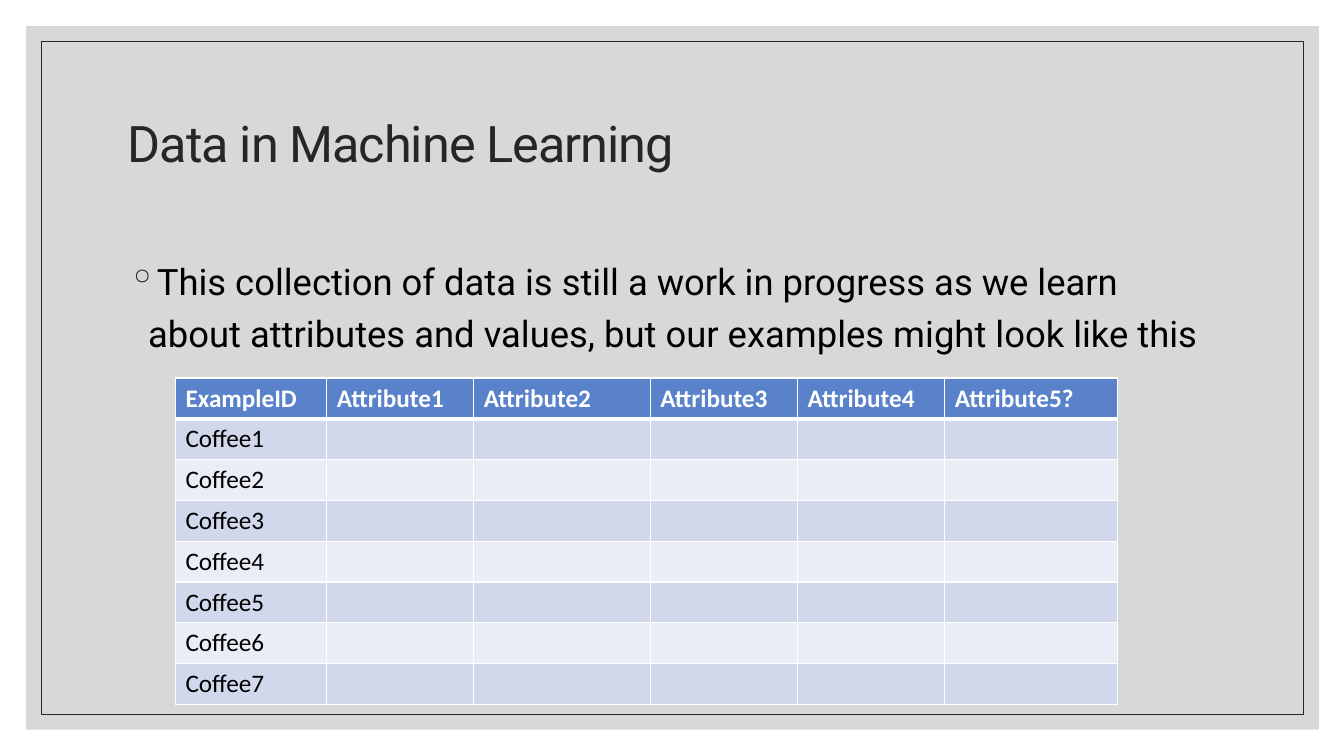
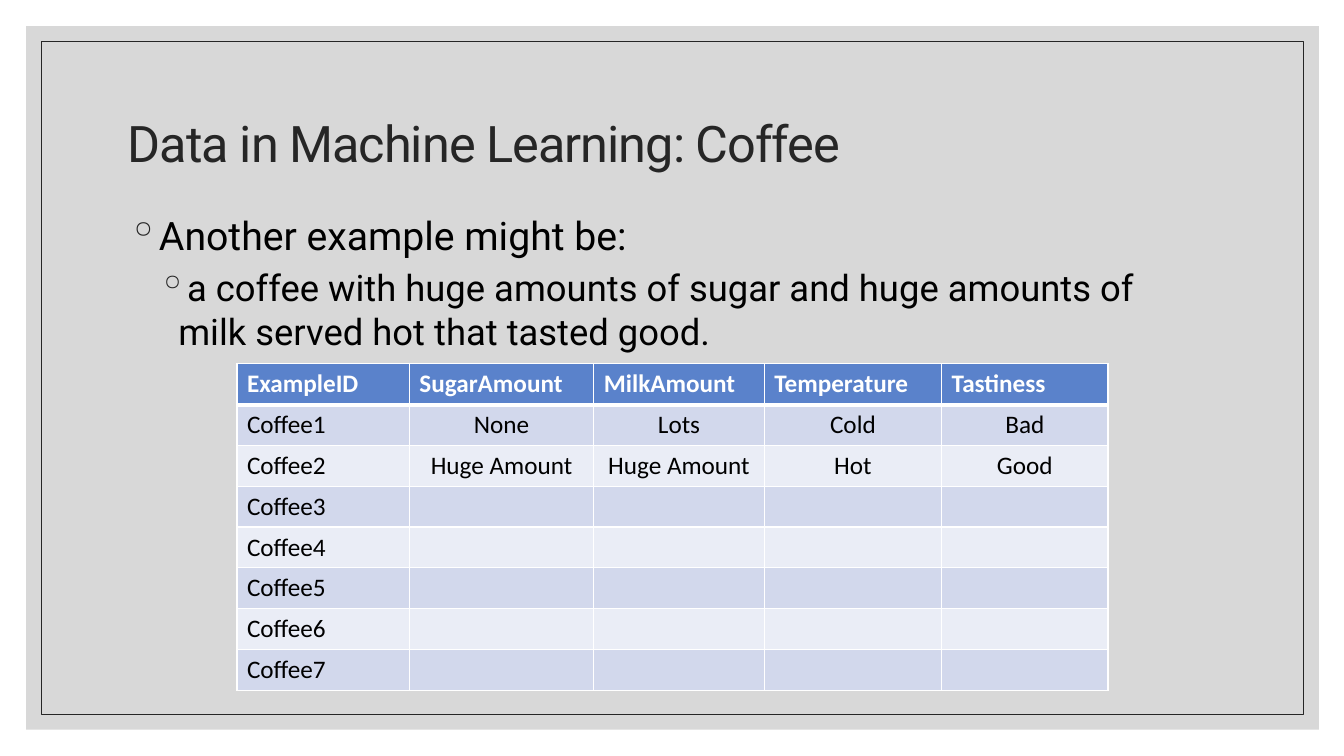
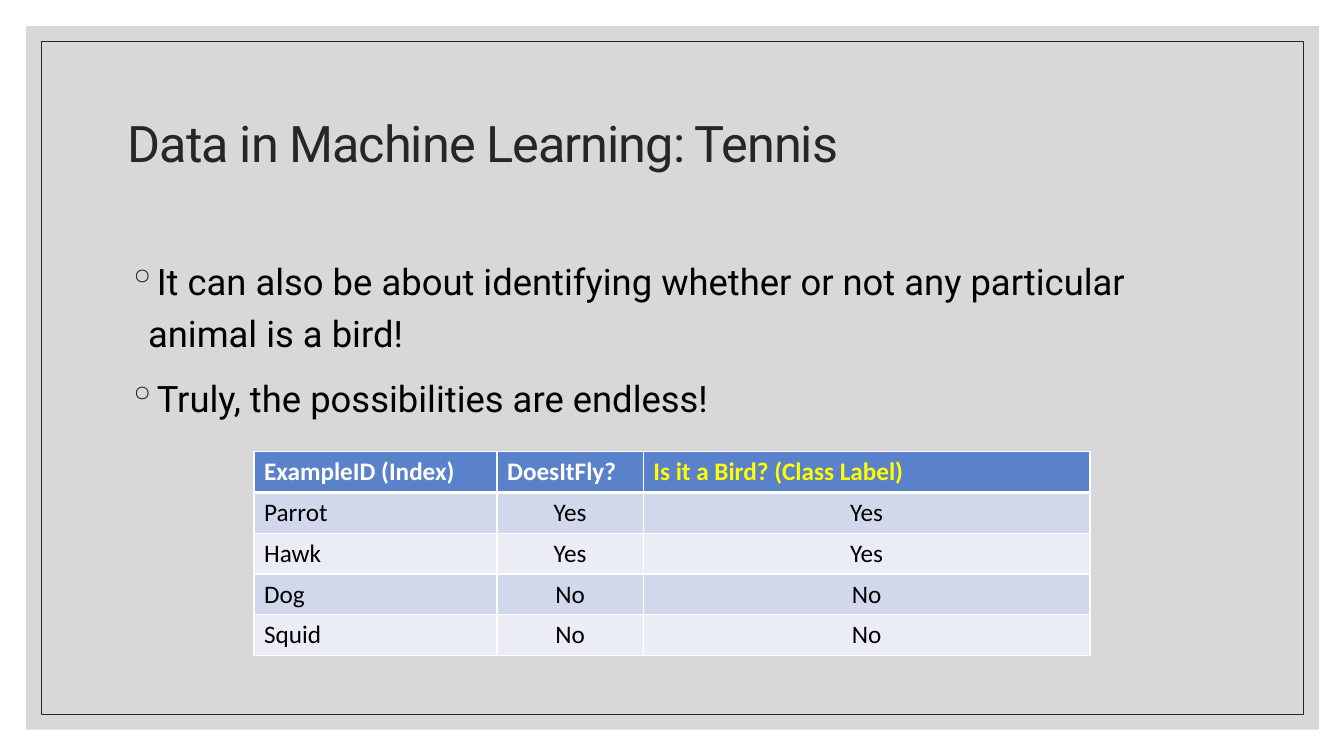
from pptx import Presentation
from pptx.dml.color import RGBColor
from pptx.enum.shapes import MSO_SHAPE
from pptx.enum.text import MSO_ANCHOR, PP_ALIGN
from pptx.oxml import parse_xml
from pptx.oxml.ns import nsdecls, qn
from pptx.util import Inches, Pt

INK = "262626"
BLACK = "000000"
WHITE = "FFFFFF"
YELLOW = "FFFF00"
PANEL = "BFBFBF"
HEADER = "5A82CB"
BANDS = ("D2D8EC", "EAEDF6")
TEXT_FONT = "Roboto"
TABLE_FONT = "Calibri"
ROW_HEIGHT = 0.405
LEVELS = (
    {"indent": 0.2, "line_spacing": 1.2, "space_before": 9},
    {"indent": 0.5, "line_spacing": 1.0, "space_before": 5},
)
COFFEES = [f"Coffee{number}" for number in range(1, 8)]

SLIDES = [
    {
        "title": "Data in Machine Learning",
        "body_top": 2.43,
        "bullets": [
            (0, 26, "This collection of data is still a work in progress as we learn "
                    "about attributes and values, but our examples might look like this"),
        ],
        "table_at": (1.74, 3.75),
        "columns": [("ExampleID", 1.5), ("Attribute1", 1.46), ("Attribute2", 1.75),
                    ("Attribute3", 1.46), ("Attribute4", 1.46), ("Attribute5?", 1.71)],
        "rows": [(coffee,) for coffee in COFFEES],
    },
    {
        "title": "Data in Machine Learning: Coffee",
        "body_top": 1.95,
        "bullets": [
            (0, 28, "Another example might be:"),
            (1, 26, "a coffee with huge amounts of sugar and huge amounts of milk "
                    "served hot that tasted good."),
        ],
        "table_at": (2.35, 3.61),
        "columns": [("ExampleID", 1.71), ("SugarAmount", 1.83), ("MilkAmount", 1.69),
                    ("Temperature", 1.76), ("Tastiness", 1.65)],
        "rows": [
            ("Coffee1", "None", "Lots", "Cold", "Bad"),
            ("Coffee2", "Huge Amount", "Huge Amount", "Hot", "Good"),
            *[(coffee,) for coffee in COFFEES[2:]],
        ],
    },
    {
        "title": "Data in Machine Learning: Tennis",
        "body_top": 2.43,
        "bullets": [
            (0, 26, "It can also be about identifying whether or not any particular "
                    "animal is a bird!"),
            (0, 26, "Truly, the possibilities are endless!"),
        ],
        "table_at": (2.52, 4.48),
        "columns": [("ExampleID (Index)", 2.41), ("DoesItFly?", 1.45),
                    ("Is it a Bird? (Class Label)", 4.43)],
        "rows": [("Parrot", "Yes", "Yes"), ("Hawk", "Yes", "Yes"),
                 ("Dog", "No", "No"), ("Squid", "No", "No")],
        "class_label": 2,
    },
]


def rgb(color):
    return RGBColor.from_string(color)


def set_font(paragraph, name, size, color, bold=False):
    font = paragraph.font
    font.name = name
    font.size = Pt(size)
    font.color.rgb = rgb(color)
    font.bold = bold


def add_rectangle(slide, left, top, width, height):
    rectangle = slide.shapes.add_shape(
        MSO_SHAPE.RECTANGLE, Inches(left), Inches(top), Inches(width), Inches(height))
    rectangle.shadow.inherit = False
    return rectangle


def add_frame(slide):
    panel = add_rectangle(slide, 0.26, 0.26, 12.82, 6.98)
    panel.fill.solid()
    panel.fill.fore_color.rgb = rgb(PANEL)
    panel.line.fill.background()
    tint = panel.element.spPr.find(qn("a:solidFill")).find(qn("a:srgbClr"))
    tint.append(parse_xml(f'<a:alpha {nsdecls("a")} val="60000"/>'))
    border = add_rectangle(slide, 0.41, 0.41, 12.52, 6.68)
    border.fill.background()
    border.line.color.rgb = rgb(INK)
    border.line.width = Pt(0.5)


def add_text_frame(slide, left, top, width, height):
    box = slide.shapes.add_textbox(Inches(left), Inches(top), Inches(width), Inches(height))
    box.text_frame.word_wrap = True
    return box.text_frame


def add_title(slide, text):
    frame = add_text_frame(slide, 1.17, 0.7, 11, 1.5)
    frame.vertical_anchor = MSO_ANCHOR.MIDDLE
    paragraph = frame.paragraphs[0]
    paragraph.line_spacing = 0.9
    run = paragraph.add_run()
    run.text = text
    run._r.get_or_add_rPr().set("spc", "-70")
    set_font(paragraph, TEXT_FONT, 36, INK)


def add_bullets(slide, top, bullets):
    frame = add_text_frame(slide, 1.17, top, 10.88, 4.21)
    for index, (level, size, text) in enumerate(bullets):
        paragraph = frame.add_paragraph() if index else frame.paragraphs[0]
        style = LEVELS[level]
        paragraph.text = text
        paragraph.level = level
        paragraph.line_spacing = style["line_spacing"]
        paragraph.space_before = Pt(style["space_before"] if index else 0)
        properties = paragraph._p.get_or_add_pPr()
        properties.set("marL", str(Inches(style["indent"])))
        properties.set("indent", str(Inches(-0.2)))
        properties.append(parse_xml(
            f'<a:buClr {nsdecls("a")}><a:srgbClr val="{INK}"/></a:buClr>'))
        properties.append(parse_xml(f'<a:buChar {nsdecls("a")} char="◦"/>'))
        set_font(paragraph, TEXT_FONT, size, BLACK)


def style_cell(cell, fill, top, bottom):
    properties = cell._tc.get_or_add_tcPr()
    for side, width in (("L", 1), ("R", 1), ("T", top), ("B", bottom)):
        properties.append(parse_xml(
            f'<a:ln{side} {nsdecls("a")} w="{Pt(width)}"><a:solidFill>'
            f'<a:srgbClr val="{WHITE}"/></a:solidFill></a:ln{side}>'))
    cell.fill.solid()
    cell.fill.fore_color.rgb = rgb(fill)


def add_data_table(slide, position, columns, rows, class_label=None):
    left, top = position
    lines = [[name for name, _ in columns], *rows]
    widths = [width for _, width in columns]
    table = slide.shapes.add_table(
        len(lines), len(columns), Inches(left), Inches(top),
        Inches(sum(widths)), Inches(ROW_HEIGHT * len(lines))).table
    for column, width in zip(table.columns, widths):
        column.width = Inches(width)
    for row_index, line in enumerate(lines):
        is_header = row_index == 0
        fill = HEADER if is_header else BANDS[(row_index - 1) % 2]
        table.rows[row_index].height = Inches(ROW_HEIGHT)
        for column_index in range(len(columns)):
            cell = table.cell(row_index, column_index)
            style_cell(cell, fill, 3 if row_index == 1 else 1, 3 if is_header else 1)
            if column_index >= len(line):
                continue
            paragraph = cell.text_frame.paragraphs[0]
            paragraph.text = line[column_index]
            if column_index and not is_header:
                paragraph.alignment = PP_ALIGN.CENTER
            header_color = YELLOW if column_index == class_label else WHITE
            set_font(paragraph, TABLE_FONT, 18, header_color if is_header else BLACK, is_header)


def main():
    presentation = Presentation()
    presentation.slide_width = Inches(13.33)
    presentation.slide_height = Inches(7.5)
    for content in SLIDES:
        slide = presentation.slides.add_slide(presentation.slide_layouts[6])
        add_frame(slide)
        add_title(slide, content["title"])
        add_bullets(slide, content["body_top"], content["bullets"])
        add_data_table(slide, content["table_at"], content["columns"],
                       content["rows"], content.get("class_label"))
    presentation.save("out.pptx")


if __name__ == "__main__":
    main()
